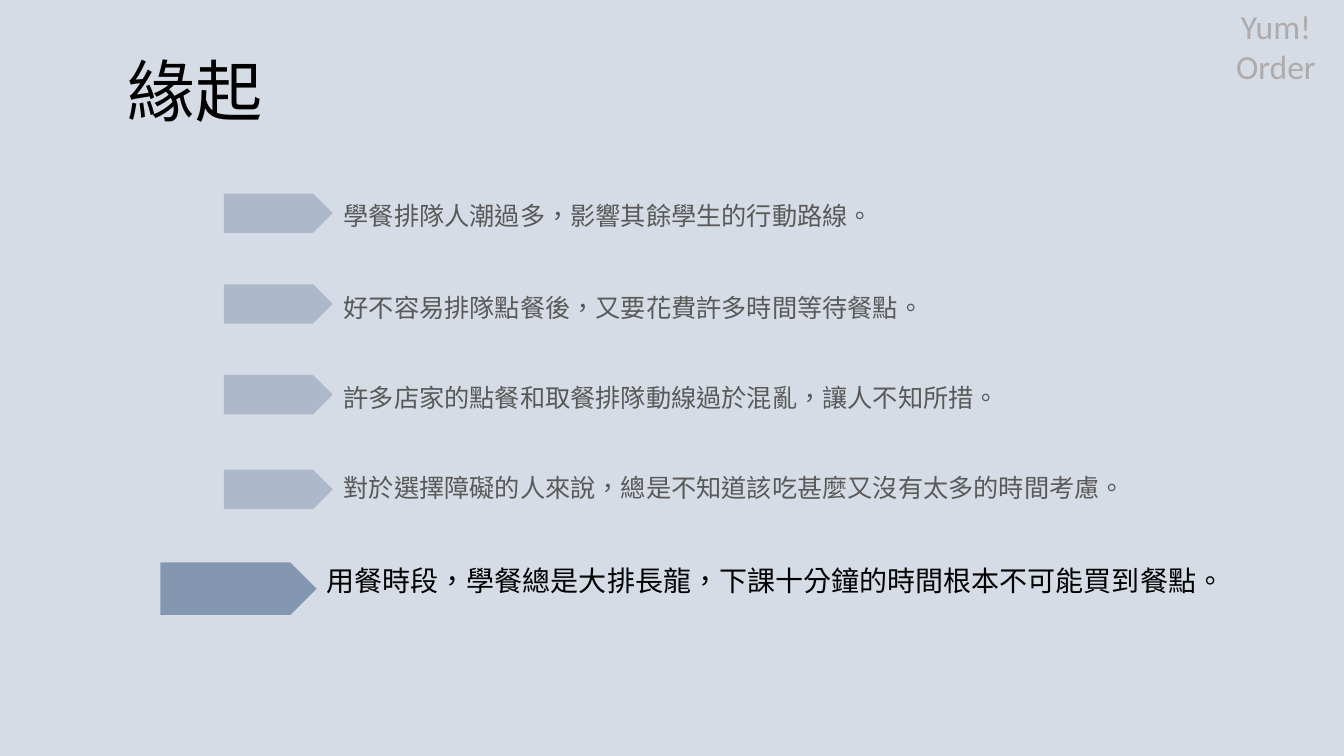
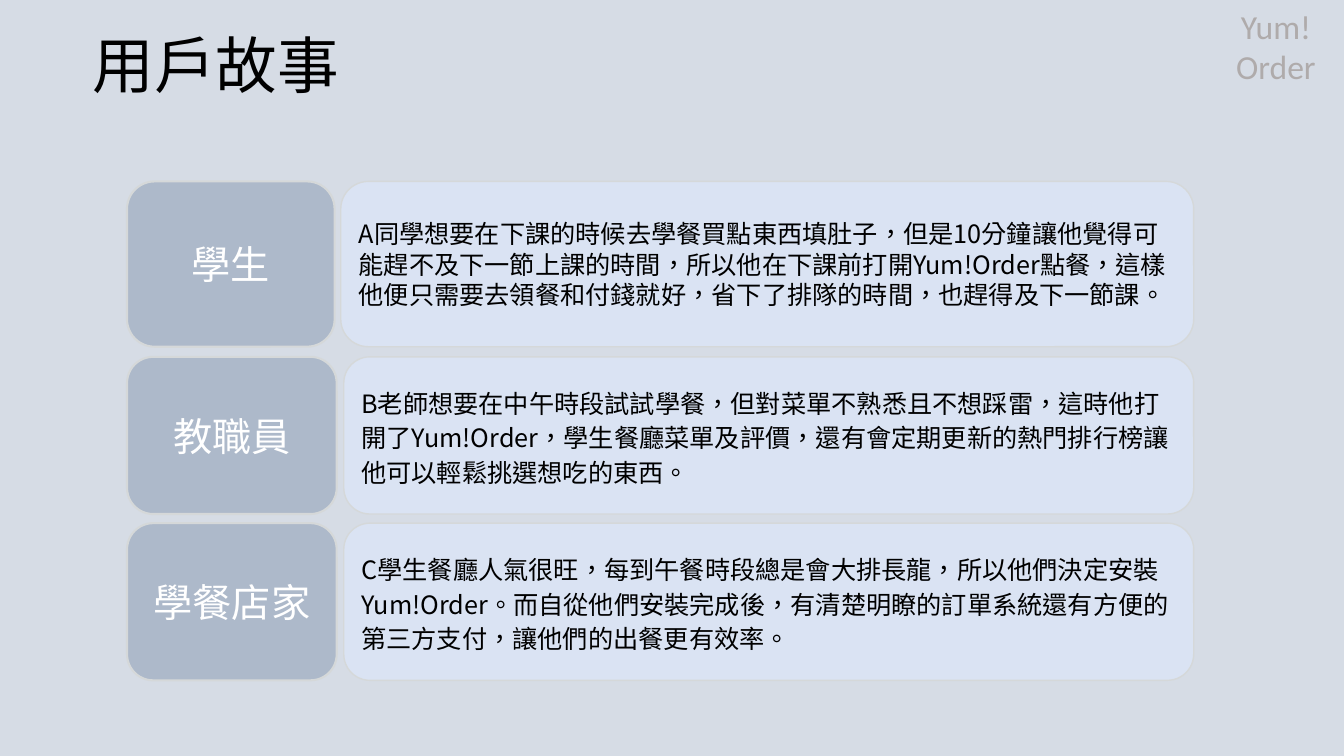
from lxml.etree import SubElement
from pptx import Presentation
from pptx.dml.color import RGBColor
from pptx.enum.shapes import MSO_SHAPE
from pptx.enum.text import MSO_ANCHOR, PP_ALIGN
from pptx.oxml.ns import qn
from pptx.util import Inches, Pt

COLORS = {
    "background": "D6DCE5",
    "arrow": "ADB9CA",
    "key_arrow": "8497B0",
    "story": "DAE3F3",
    "outline": "D5D8D9",
    "wordmark": "AFABAB",
    "muted": "595959",
    "black": "000000",
    "white": "FFFFFF",
}
CHINESE_FONT = "Noto Sans CJK SC"
LATIN_FONT = "Calibri"

REASONS = [
    (1.92, 1.94, 5.5, "學餐排隊人潮過多，影響其餘學生的行動路線。"),
    (2.82, 2.85, 6.01, "好不容易排隊點餐後，又要花費許多時間等待餐點。"),
    (3.72, 3.74, 6.77, "許多店家的點餐和取餐排隊動線過於混亂，讓人不知所措。"),
    (4.66, 4.64, 8.03, "對於選擇障礙的人來說，總是不知道該吃甚麼又沒有太多的時間考慮。"),
]
CONCLUSION = "用餐時段，學餐總是大排長龍，下課十分鐘的時間根本不可能買到餐點。"
STORIES = [
    (1.8, 1.64, 2.06, 3.38, None, "學生",
     "A同學想要在下課的時候去學餐買點東西填肚子，但是10分鐘讓他覺得"
     "可能趕不及下一節上課的時間，所以他在下課前打開Yum!Order點餐，這"
     "樣他便只需要去領餐和付錢就好，省下了排隊的時間，也趕得及下一節課。"),
    (3.54, 1.56, 2.08, 3.41, 1.15, "教職員",
     "B老師想要在中午時段試試學餐，但對菜單不熟悉且不想踩雷，這時他打"
     "開了Yum!Order，學生餐廳菜單及評價，還有會定期更新的熱門排行榜讓"
     "他可以輕鬆挑選想吃的東西。"),
    (5.19, 1.56, 2.08, 3.41, 1.15, "學餐店家",
     "C學生餐廳人氣很旺，每到午餐時段總是會大排長龍，所以他們決定安裝"
     "Yum!Order。而自從他們安裝完成後，有清楚明瞭的訂單系統還有方便的"
     "第三方支付，讓他們的出餐更有效率。"),
]
STORY_RIGHT = 11.84


def color(name):
    return RGBColor.from_string(COLORS[name])


def write_text(shape, lines, size, ink="black", font=CHINESE_FONT, align=PP_ALIGN.LEFT,
               anchor=MSO_ANCHOR.TOP, spacing=None, wrap=True):
    frame = shape.text_frame
    frame.word_wrap = wrap
    frame.vertical_anchor = anchor
    for index, line in enumerate(lines):
        paragraph = frame.add_paragraph() if index else frame.paragraphs[0]
        paragraph.alignment = align
        paragraph.line_spacing = spacing
        run = paragraph.add_run()
        run.text = line
        run.font.size = Pt(size)
        run.font.name = font
        run.font.color.rgb = color(ink)
        properties = run.font._element
        properties.set("lang", "zh-TW")
        SubElement(properties, qn("a:ea")).set("typeface", font)


def add_text(shapes, box, lines, **text_format):
    shape = shapes.add_textbox(*map(Inches, box))
    write_text(shape, lines, **text_format)


def add_filled_shape(shapes, kind, box, fill, line_width=0):
    shape = shapes.add_shape(kind, *map(Inches, box))
    shape.shadow.inherit = False
    shape.fill.solid()
    shape.fill.fore_color.rgb = color(fill)
    if line_width:
        shape.line.color.rgb = color("outline")
        shape.line.width = Pt(line_width)
    else:
        shape.line.fill.background()
    return shape


def add_titled_slide(presentation, title, left, top, **title_format):
    slide = presentation.slides.add_slide(presentation.slide_layouts[6])
    add_text(slide.shapes, (left, top, 11, 1.76), [title], spacing=0.9, **title_format)
    add_text(slide.shapes, (11.43, 0.01, 2.45, 1.31), ["Yum!", "Order"], size=24,
             ink="wordmark", font=LATIN_FONT, align=PP_ALIGN.CENTER)
    return slide


def add_arrow_point(slide, arrow_box, fill, text_box, text, **text_format):
    group = slide.shapes.add_group_shape()
    add_filled_shape(group.shapes, MSO_SHAPE.PENTAGON, arrow_box, fill)
    add_text(group.shapes, text_box, [text], wrap=False, **text_format)


def add_story(slide, top, height, label_width, story_left, spacing, label, story):
    label_box = (1.26, top, label_width, height)
    label_shape = add_filled_shape(slide.shapes, MSO_SHAPE.ROUNDED_RECTANGLE,
                                   label_box, "arrow", 1.5)
    write_text(label_shape, [label], 28, ink="white", align=PP_ALIGN.CENTER,
               anchor=MSO_ANCHOR.MIDDLE)
    story_box = (story_left, top, STORY_RIGHT - story_left, height)
    story_shape = add_filled_shape(slide.shapes, MSO_SHAPE.ROUNDED_RECTANGLE,
                                   story_box, "story", 1)
    write_text(story_shape, [story], 18, anchor=MSO_ANCHOR.MIDDLE, spacing=spacing)


def build_origin_slide(presentation):
    slide = add_titled_slide(presentation, "緣起", 1.17, 0.53, size=48)
    for arrow_top, text_top, text_width, reason in REASONS:
        add_arrow_point(slide, (2.22, arrow_top, 1.08, 0.39), "arrow",
                        (3.31, text_top, text_width, 0.4), reason, size=18, ink="muted")
    add_arrow_point(slide, (1.59, 5.58, 1.55, 0.52), "key_arrow",
                    (3.14, 5.54, 9.18, 0.44), CONCLUSION, size=20)


def build_story_slide(presentation):
    slide = add_titled_slide(presentation, "用戶故事", 0.82, -0.2, size=44,
                             anchor=MSO_ANCHOR.MIDDLE)
    for story in STORIES:
        add_story(slide, *story)


def main():
    presentation = Presentation()
    presentation.slide_width = Inches(13.33)
    presentation.slide_height = Inches(7.5)
    background = presentation.slide_master.background.fill
    background.solid()
    background.fore_color.rgb = color("background")
    build_origin_slide(presentation)
    build_story_slide(presentation)
    presentation.save("out.pptx")


if __name__ == "__main__":
    main()
